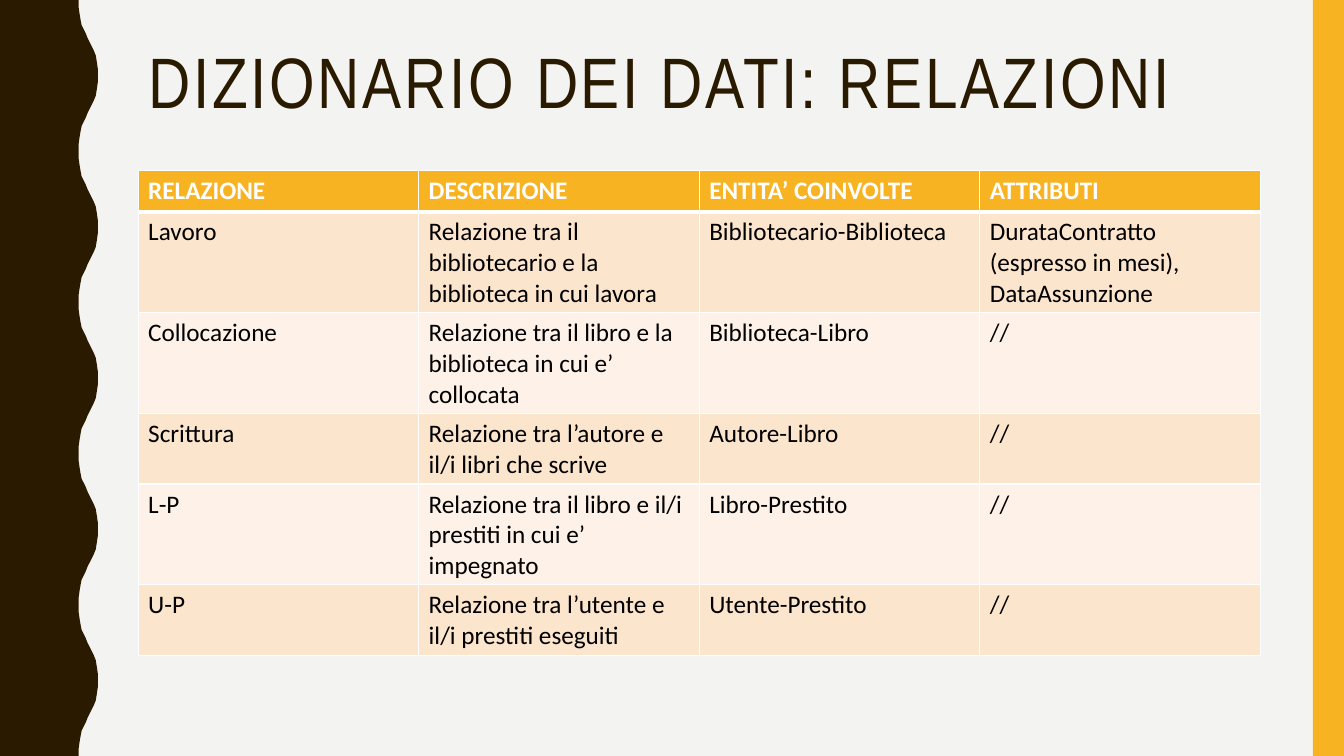
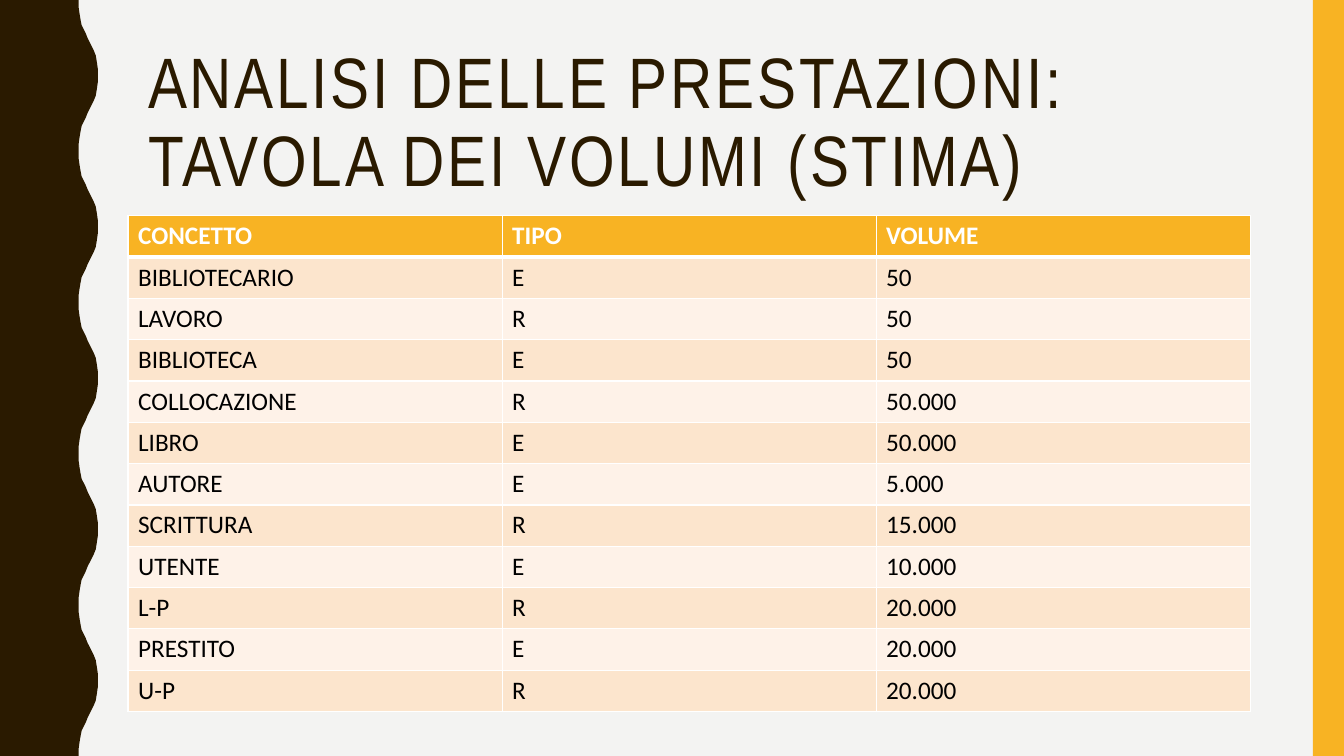
from lxml import etree
from pptx import Presentation
from pptx.dml.color import RGBColor
from pptx.enum import shapes
from pptx.oxml import ns
from pptx.util import Inches, Pt

BACKGROUND = RGBColor(0xF3, 0xF3, 0xF2)
BROWN = RGBColor(0x2A, 0x1A, 0x00)
GOLD = RGBColor(0xF8, 0xB3, 0x23)
BAND_DARK = RGBColor(0xFC, 0xE5, 0xCD)
BAND_LIGHT = RGBColor(0xFE, 0xF2, 0xE8)
WHITE = RGBColor(0xFF, 0xFF, 0xFF)
BLACK = RGBColor(0x00, 0x00, 0x00)

TITLE_FONT = "Arial Narrow"
BODY_FONT = "Calibri"
SLIDE_WIDTH = 13.33
SLIDE_HEIGHT = 7.5
STRIPE_WIDTH = 0.31
TABLE_WIDTH = 11.13
ROW_HEIGHT = 0.41

WAVE_PERIOD = 1.5
WAVE_COUNT = 5
WAVE_RISE = [
    (0.78, 0), (0.78, 0.07), (0.79, 0.14), (0.8, 0.2), (0.81, 0.25),
    (0.83, 0.29), (0.85, 0.33), (0.87, 0.38), (0.89, 0.42), (0.91, 0.46),
    (0.93, 0.5), (0.95, 0.55), (0.96, 0.61), (0.97, 0.68),
]
WAVE_CREST = (0.97, 0.75)

RELATIONS = [
    ("RELAZIONE", "DESCRIZIONE", "ENTITA’ COINVOLTE", "ATTRIBUTI"),
    ("Lavoro", "Relazione tra il bibliotecario e la biblioteca in cui lavora",
     "Bibliotecario-Biblioteca", "DurataContratto (espresso in mesi),\nDataAssunzione"),
    ("Collocazione", "Relazione tra il libro e la biblioteca in cui e’ collocata",
     "Biblioteca-Libro", "//"),
    ("Scrittura", "Relazione tra l’autore e il/i libri che scrive", "Autore-Libro", "//"),
    ("L-P", "Relazione tra il libro e il/i prestiti in cui e’ impegnato",
     "Libro-Prestito", "//"),
    ("U-P", "Relazione tra l’utente e il/i prestiti eseguiti", "Utente-Prestito", "//"),
]
VOLUMES = [
    ("CONCETTO", "TIPO", "VOLUME"),
    ("BIBLIOTECARIO", "E", "50"),
    ("LAVORO", "R", "50"),
    ("BIBLIOTECA", "E", "50"),
    ("COLLOCAZIONE", "R", "50.000"),
    ("LIBRO", "E", "50.000"),
    ("AUTORE", "E", "5.000"),
    ("SCRITTURA", "R", "15.000"),
    ("UTENTE", "E", "10.000"),
    ("L-P", "R", "20.000"),
    ("PRESTITO", "E", "20.000"),
    ("U-P", "R", "20.000"),
]


def fill_plain(shape, color):
    shape.shadow.inherit = False
    shape.fill.solid()
    shape.fill.fore_color.rgb = color
    shape.line.fill.background()


def wave_points():
    fall = [(x, WAVE_PERIOD - y) for x, y in reversed(WAVE_RISE[1:])]
    wave = WAVE_RISE + [WAVE_CREST] + fall
    points = [(x, y + number * WAVE_PERIOD) for number in range(WAVE_COUNT) for x, y in wave]
    return points + [(WAVE_RISE[0][0], SLIDE_HEIGHT), (0, SLIDE_HEIGHT)]


def add_wavy_band(slide):
    builder = slide.shapes.build_freeform(0, 0)
    builder.add_line_segments([(Inches(x), Inches(y)) for x, y in wave_points()])
    fill_plain(builder.convert_to_shape(), BROWN)


def add_stripe(slide):
    stripe = slide.shapes.add_shape(
        shapes.MSO_SHAPE.RECTANGLE, Inches(SLIDE_WIDTH - STRIPE_WIDTH), 0,
        Inches(STRIPE_WIDTH), Inches(SLIDE_HEIGHT))
    fill_plain(stripe, GOLD)


def add_title(slide, title):
    box = slide.shapes.add_textbox(Inches(1.37), Inches(0.42), Inches(11.13), Inches(1.63))
    box.text_frame.word_wrap = True
    paragraph = box.text_frame.paragraphs[0]
    paragraph.text = title
    paragraph.line_spacing = 0.9
    for run in paragraph.runs:
        run.font.name = TITLE_FONT
        run.font.size = Pt(51)
        run.font.color.rgb = BROWN
        run.font._element.set("spc", "200")


def add_titled_slide(presentation, title):
    slide = presentation.slides.add_slide(presentation.slide_layouts[6])
    add_wavy_band(slide)
    add_stripe(slide)
    add_title(slide, title)
    return slide


def set_borders(cell, top, bottom):
    properties = cell._tc.get_or_add_tcPr()
    widths = {"a:lnL": 1, "a:lnR": 1, "a:lnT": top, "a:lnB": bottom}
    for index, (tag, width) in enumerate(widths.items()):
        line = etree.Element(ns.qn(tag), w=str(Pt(width)))
        fill = etree.SubElement(line, ns.qn("a:solidFill"))
        etree.SubElement(fill, ns.qn("a:srgbClr"), val=str(WHITE))
        properties.insert(index, line)


def format_cell(cell, content, row_index):
    header = row_index == 0
    cell.text_frame.text = content
    for paragraph in cell.text_frame.paragraphs:
        for run in paragraph.runs:
            run.font.name = BODY_FONT
            run.font.size = Pt(18)
            run.font.bold = header
            run.font.color.rgb = WHITE if header else BLACK
    cell.fill.solid()
    band = BAND_DARK if row_index % 2 else BAND_LIGHT
    cell.fill.fore_color.rgb = GOLD if header else band
    set_borders(cell, top=3 if row_index == 1 else 1, bottom=3 if header else 1)


def add_data_table(slide, left, top, rows):
    columns = len(rows[0])
    table = slide.shapes.add_table(
        len(rows), columns, Inches(left), Inches(top),
        Inches(TABLE_WIDTH), Inches(ROW_HEIGHT * len(rows))).table
    for column in table.columns:
        column.width = Inches(TABLE_WIDTH / columns)
    for row_index, row in enumerate(rows):
        table.rows[row_index].height = Inches(ROW_HEIGHT)
        for column_index, content in enumerate(row):
            format_cell(table.cell(row_index, column_index), content, row_index)


def main():
    presentation = Presentation()
    presentation.slide_width = Inches(SLIDE_WIDTH)
    presentation.slide_height = Inches(SLIDE_HEIGHT)
    background = presentation.slide_master.background.fill
    background.solid()
    background.fore_color.rgb = BACKGROUND

    slide = add_titled_slide(presentation, "DIZIONARIO DEI DATI: RELAZIONI")
    add_data_table(slide, 1.37, 1.69, RELATIONS)

    slide = add_titled_slide(
        presentation, "ANALISI DELLE PRESTAZIONI: \vTAVOLA DEI VOLUMI (STIMA)")
    add_data_table(slide, 1.27, 2.14, VOLUMES)

    presentation.save("out.pptx")


if __name__ == "__main__":
    main()
